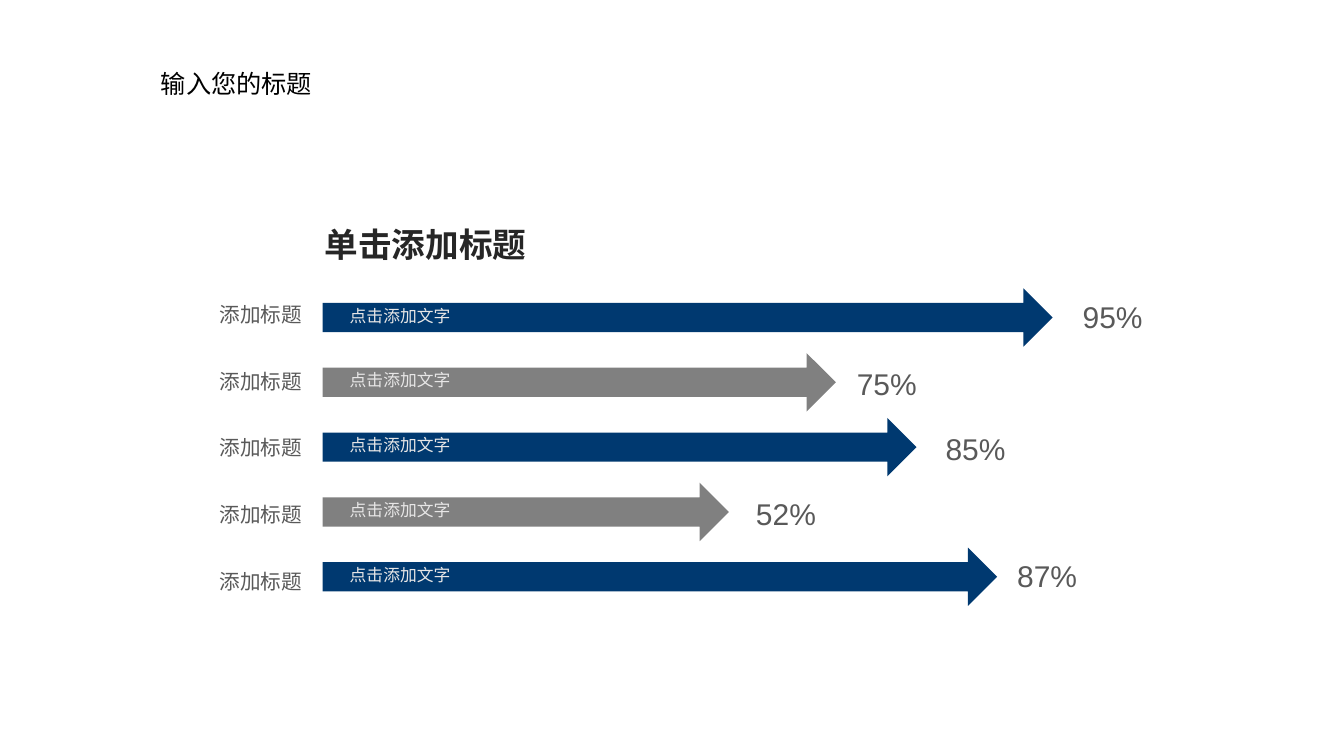
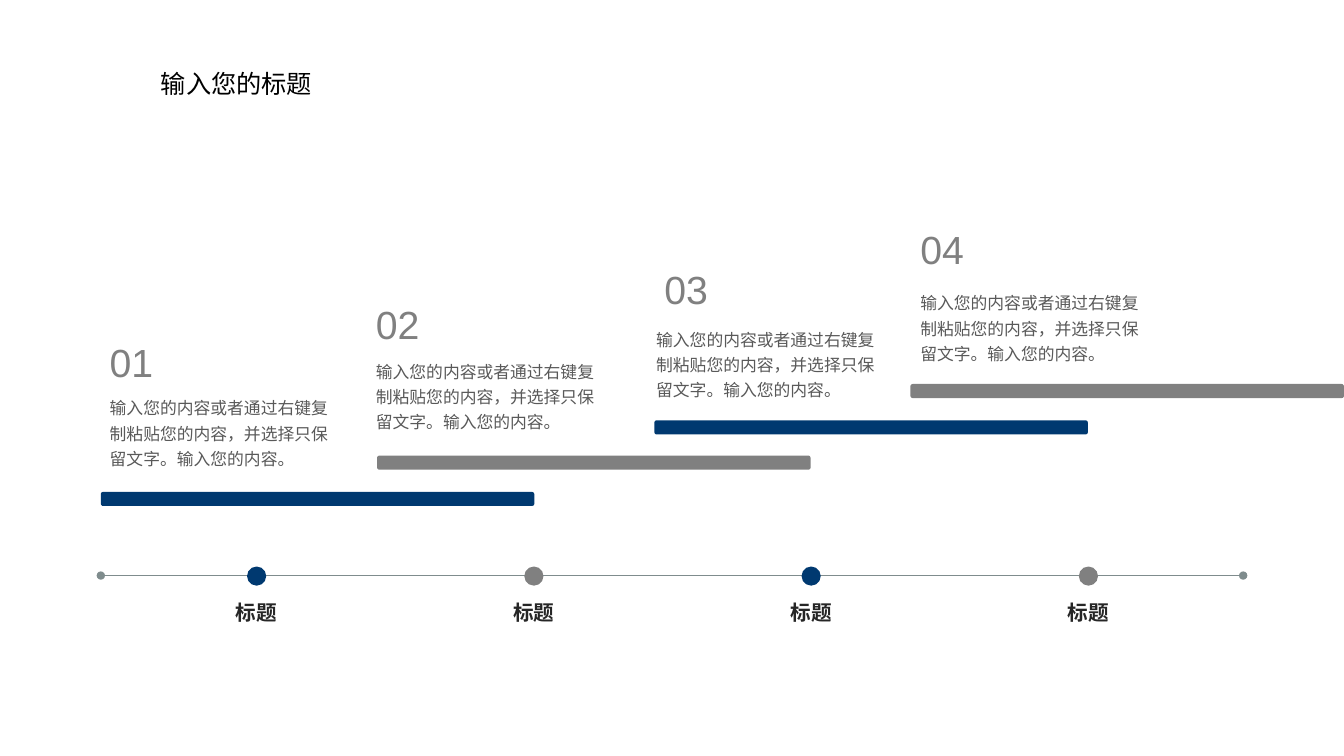
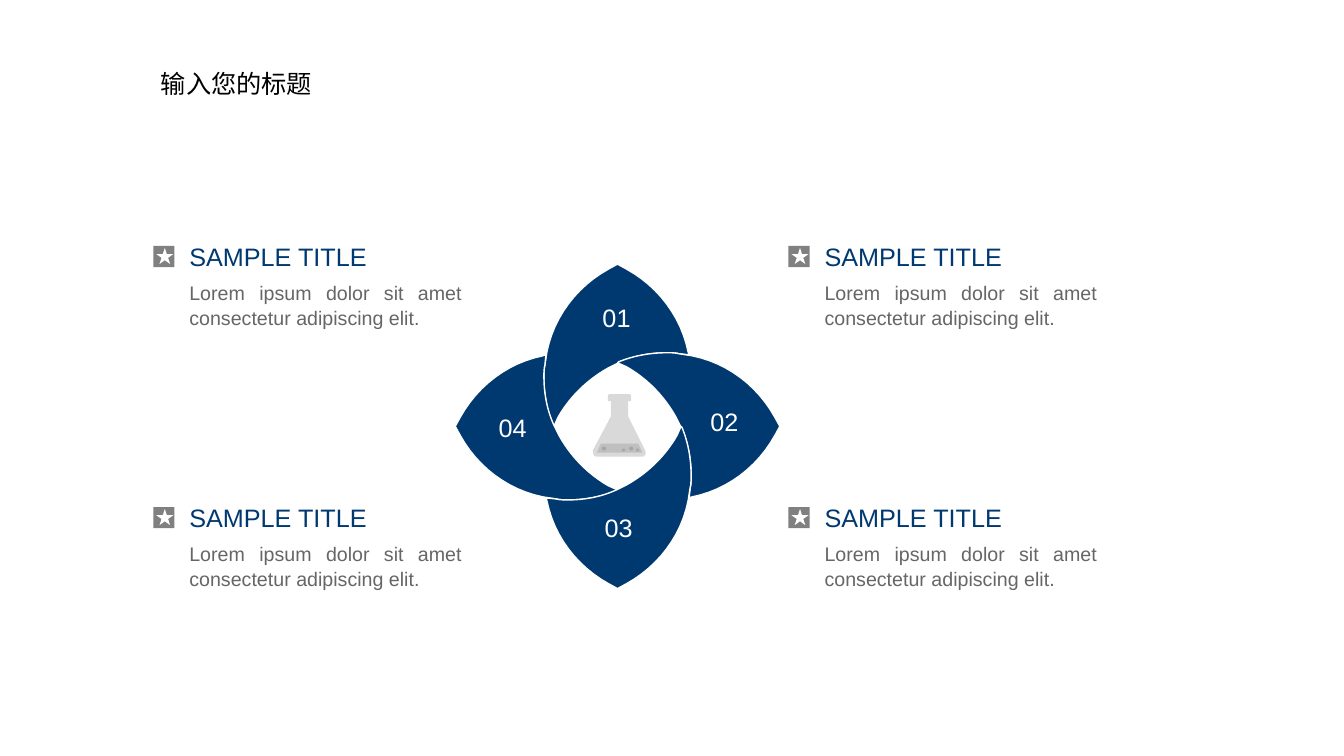
from dataclasses import dataclass

from lxml import etree
from pptx import Presentation
from pptx import util as u
from pptx.dml.color import RGBColor
from pptx.enum import shapes, text
from pptx.oxml import ns

HUES = {
    "navy": "003970", "gray": "808080", "white": "FFFFFF", "black": "000000",
    "dark": "262626", "mid": "595959", "soft": "666666", "pale": "E7E6E6",
    "rule": "7F8C8D", "glass": "D9D9D9", "fluid": "BFBFBF", "drop": "A6A6A6",
}
PAIR = ("navy", "gray")
FONT = "Arial"
SHAPE = shapes.MSO_SHAPE
ALIGN = text.PP_ALIGN
INSET = (0.1, 0.05, 0.1, 0.05)
BODY = "输入您的内容或者通过右键复制粘贴您的内容，并选择只保留文字。输入您的内容。"
LOREM = "Lorem ipsum dolor sit amet consectetur adipiscing elit."

Point = tuple[float, float]
Box = tuple[float, float, float, float]


@dataclass
class Row:
    width: float
    rate: str
    left: float
    top: float


@dataclass
class Step:
    bar: Point
    body: Point
    head: Point


@dataclass
class Petal:
    label: str
    turns: int
    inset: Box


ROWS = (
    Row(7.24, "95%", 10.64, 2.91),
    Row(5.09, "75%", 8.4, 3.58),
    Row(5.89, "85%", 9.28, 4.22),
    Row(4.03, "52%", 7.4, 4.87),
    Row(6.69, "87%", 9.99, 5.48),
)
STEPS = (
    Step((1, 4.88), (0.99, 3.85), (0.99, 3.31)),
    Step((3.74, 4.52), (3.63, 3.49), (3.63, 2.93)),
    Step((6.49, 4.17), (6.41, 3.17), (6.49, 2.58)),
    Step((9.03, 3.81), (9.03, 2.81), (9.03, 2.19)),
)
PETALS = (
    Petal("01", 0, (0, 0, 0, 0.55)),
    Petal("02", 1, (0.51, 0, 0, 0.08)),
    Petal("04", 3, (0, 0, 0.47, 0)),
    Petal("03", 2, (0, 0.39, 0, 0)),
)
HUB = (6.125, 4.23)
# Top petal around the hub: one point is a line, three points are a Bézier curve.
LEAF = (
    ((0, -1.61),),
    ((0.09, -1.56),),
    ((0.4, -1.39), (0.63, -1.09), (0.7, -0.74)),
    ((0.71, -0.71),),
    ((0.61, -0.72),),
    ((0.57, -0.73), (0.53, -0.73), (0.49, -0.73)),
    ((0.33, -0.73), (0.16, -0.7), (0.01, -0.63)),
    ((-0.09, -0.58),),
    ((-0.29, -0.47), (-0.47, -0.3), (-0.59, -0.09)),
    ((-0.63, 0),),
    ((-0.64, -0.01),),
    ((-0.7, -0.16), (-0.73, -0.32), (-0.73, -0.49)),
    ((-0.73, -0.53), (-0.73, -0.57), (-0.72, -0.61)),
    ((-0.7, -0.74),),
    ((-0.63, -1.09), (-0.4, -1.39), (-0.09, -1.56)),
)
FLASK = (
    ((6.23, 4.13),), ((6.23, 3.98),), ((6.25, 3.98),),
    ((6.26, 3.98), (6.26, 3.97), (6.26, 3.95)), ((6.26, 3.92),),
    ((6.26, 3.92), (6.25, 3.91), (6.24, 3.91)), ((6.05, 3.91),),
    ((6.04, 3.91), (6.03, 3.92), (6.03, 3.93)), ((6.03, 3.97),),
    ((6.03, 3.98), (6.04, 3.98), (6.06, 3.98)), ((6.06, 4.13),),
    ((5.88, 4.47),), ((5.88, 4.5), (5.89, 4.53), (5.92, 4.53)),
    ((6.37, 4.53),), ((6.4, 4.53), (6.41, 4.5), (6.4, 4.47)),
)
FLUID = (((6.33, 4.4),), ((5.96, 4.4),), ((5.92, 4.49),), ((6.37, 4.49),))
DROPS = ((5.97, 4.43, 0.04), (6.31, 4.45, 0.03), (6.24, 4.43, 0.04), (6.17, 4.45, 0.03))


def hue(name: str) -> RGBColor:
    return RGBColor.from_string(HUES[name])


def write(frame, words: str, *, size: float, color: str, bold: bool = False,
          align=ALIGN.LEFT, space: float = 1.0, wrap: bool = False,
          inset: Box = INSET, anchor=text.MSO_ANCHOR.TOP) -> None:
    frame.word_wrap = wrap
    frame.vertical_anchor = anchor
    (frame.margin_left, frame.margin_top,
     frame.margin_right, frame.margin_bottom) = map(u.Inches, inset)
    para = frame.paragraphs[0]
    para.alignment = align
    para.line_spacing = space
    run = para.add_run()
    run.text = words
    run.font.name = FONT
    run.font.size = u.Pt(size)
    run.font.bold = bold
    run.font.color.rgb = hue(color)


def note(slide, box: Box, words: str, **style) -> None:
    """Add a text box."""
    frame = slide.shapes.add_textbox(*map(u.Inches, box)).text_frame
    write(frame, words, **style)
    frame.auto_size = text.MSO_AUTO_SIZE.SHAPE_TO_FIT_TEXT


def paint(shape, fill: str, edge: str | None = None) -> None:
    shape.shadow.inherit = False
    shape.fill.solid()
    shape.fill.fore_color.rgb = hue(fill)
    if edge:
        shape.line.color.rgb = hue(edge)
        shape.line.width = u.Pt(1)
    else:
        shape.line.fill.background()


def block(slide, kind, box: Box, fill: str) -> None:
    """Add a filled preset shape."""
    paint(slide.shapes.add_shape(kind, *map(u.Inches, box)), fill)


def trace(parts, count: int = 12) -> list[Point]:
    """Turn lines and Bézier curves into a list of points."""
    points = [parts[0][0]]
    for part in parts[1:]:
        if len(part) == 1:
            points.append(part[0])
            continue
        nodes = (points[-1], *part)
        for i in range(1, count + 1):
            t = i / count
            s = 1 - t
            rates = (s ** 3, 3 * s * s * t, 3 * s * t * t, t ** 3)
            points.append(tuple(sum(r * n[k] for r, n in zip(rates, nodes))
                                for k in (0, 1)))
    return points


def form(slide, points: list[Point], fill: str, edge: str | None = None):
    """Add a closed outline."""
    spots = [(u.Inches(x), u.Inches(y)) for x, y in points]
    pen = slide.shapes.build_freeform(*spots[0], scale=1.0)
    pen.add_line_segments(spots[1:], close=True)
    shape = pen.convert_to_shape()
    paint(shape, fill, edge)
    return shape


def spin(point: Point, turns: int) -> Point:
    """Turn a point clockwise by quarters and move it to the hub."""
    x, y = point
    for _ in range(turns):
        x, y = -y, x
    return HUB[0] + x, HUB[1] + y


def start(deck):
    """Add a slide with the shared title."""
    slide = deck.slides.add_slide(deck.slide_layouts[5])
    title = slide.shapes.title
    title.left, title.top, title.width, title.height = map(
        u.Inches, (1.13, 0.63, 2.43, 0.4))
    write(title.text_frame, "输入您的标题", size=18, color="black",
          align=ALIGN.CENTER, wrap=True)
    title.text_frame.auto_size = text.MSO_AUTO_SIZE.SHAPE_TO_FIT_TEXT
    return slide


def arrows(deck) -> None:
    slide = start(deck)
    note(slide, (3.07, 2.16, 2.3, 0.52), "单击添加标题", size=24, color="dark",
         bold=True, align=ALIGN.CENTER, inset=(0.11, 0.06, 0.11, 0.06))
    for i, row in enumerate(ROWS):
        top = 2.86 + 0.643 * i
        note(slide, (2.08, 2.95 + 0.66 * i, 1.02, 0.35), "添加标题",
             size=14.7, color="mid")
        block(slide, SHAPE.RIGHT_ARROW, (3.2, top, row.width, 0.58), PAIR[i % 2])
        note(slide, (3.37, top + 0.12, 1.21, 0.3), "点击添加文字",
             size=12, color="pale")
        note(slide, (row.left, row.top, 0.97, 0.46), row.rate,
             size=21.4, color="mid", wrap=True)


def axis(slide) -> None:
    """Add the time line with its round ends."""
    ends = map(u.Inches, (1, 5.71, 12.33, 5.71))
    line = slide.shapes.add_connector(shapes.MSO_CONNECTOR.STRAIGHT, *ends)
    line.line.color.rgb = hue("rule")
    line.line.width = u.Pt(0.25)
    props = line._element.spPr
    edge = props.find(ns.qn("a:ln"))
    for tag in ("a:headEnd", "a:tailEnd"):
        etree.SubElement(edge, ns.qn(tag), type="oval")
    etree.SubElement(props, ns.qn("a:effectLst"))


def stairs(deck) -> None:
    slide = start(deck)
    axis(slide)
    for i, step in enumerate(STEPS):
        tone = PAIR[i % 2]
        shift = 2.75 * i
        block(slide, SHAPE.OVAL, (2.45 + shift, 5.62, 0.19, 0.19), tone)
        note(slide, (2.23 + shift, 5.9, 0.63, 0.35), "标题", size=14.7,
             color="dark", bold=True, align=ALIGN.CENTER)
        block(slide, SHAPE.ROUNDED_RECTANGLE, (*step.bar, 4.3, 0.14), tone)
        note(slide, (*step.body, 2.5, 0.83), BODY, size=12, color="mid",
             space=1.25, wrap=True)
        note(slide, (*step.head, 0.64, 0.57), f"{i + 1:02}", size=28, color="gray")


def flower(deck) -> None:
    slide = start(deck)
    leaf = trace(LEAF)
    for petal in PETALS:
        points = [spin(point, petal.turns) for point in leaf]
        shape = form(slide, points, "navy", "white")
        write(shape.text_frame, petal.label, size=18, color="white", wrap=True,
              align=ALIGN.CENTER, inset=petal.inset, anchor=text.MSO_ANCHOR.MIDDLE)
    for left in (1.52, 7.82):
        for top in (2.34, 4.93):
            note(slide, (left + 0.26, top, 2.16, 0.4), "SAMPLE TITLE",
                 size=18, color="navy", wrap=True)
            block(slide, SHAPE.RECTANGLE, (left, top + 0.1, 0.21, 0.21), "gray")
            block(slide, SHAPE.STAR_5_POINT,
                  (left + 0.03, top + 0.12, 0.17, 0.16), "white")
            note(slide, (left + 0.26, top + 0.37, 2.9, 0.6), LOREM, size=14,
                 color="soft", align=ALIGN.JUSTIFY, space=1.1, wrap=True)
    form(slide, trace(FLASK), "glass")
    form(slide, trace(FLUID), "fluid")
    for x, y, size in DROPS:
        block(slide, SHAPE.OVAL, (x, y, size, size), "drop")


def main() -> None:
    deck = Presentation()
    deck.slide_width, deck.slide_height = u.Inches(13.33), u.Inches(7.5)
    for draw in (arrows, stairs, flower):
        draw(deck)
    deck.save("out.pptx")


if __name__ == "__main__":
    main()
